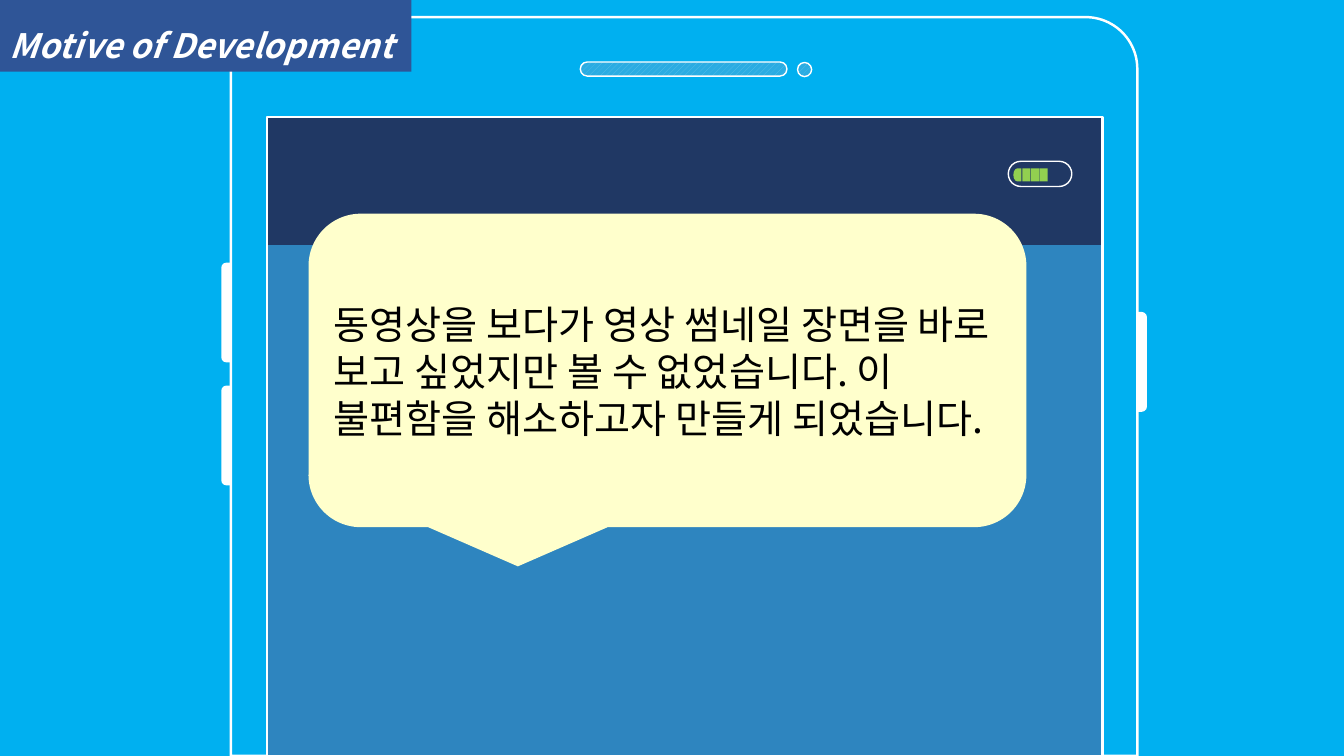
from pptx import Presentation
from pptx.dml.color import RGBColor
from pptx.enum.dml import MSO_PATTERN
from pptx.enum.shapes import MSO_SHAPE as SHAPE
from pptx.enum.text import MSO_ANCHOR, PP_ALIGN
from pptx.oxml.ns import qn
from pptx.util import Inches, Pt

FONT = "Noto Sans CJK KR"
COLORS = {
    "sky": "00B0F0", "white": "FFFFFF", "black": "000000",
    "navy": "203864", "screen": "2E85BF", "title": "2F5597",
    "bubble": "FFFFCC", "battery": "92D050",
    "stripe": "5DC1E9", "speaker": "2BACE2",
}


def color(name):
    return RGBColor.from_string(COLORS[name])


def add_shape(s, kind, box, fill=None, line=None, rot=0, adj=()):
    """Add a preset shape; line is the width of a white outline in points."""
    sp = s.shapes.add_shape(kind, *(Inches(v) for v in box))
    sp.shadow.inherit = False
    sp.rotation = rot
    for i, value in enumerate(adj):
        sp.adjustments[i] = value
    if fill:
        sp.fill.solid()
        sp.fill.fore_color.rgb = color(fill)
    else:
        sp.fill.background()
    if line:
        sp.line.color.rgb = color("white")
        sp.line.width = Pt(line)
    else:
        sp.line.fill.background()
    return sp


def add_striped(s, kind, box, adj=()):
    sp = add_shape(s, kind, box, line=1, rot=90, adj=adj)
    sp.fill.patterned()
    sp.fill.pattern = MSO_PATTERN.WIDE_UPWARD_DIAGONAL
    sp.fill.fore_color.rgb = color("stripe")
    sp.fill.back_color.rgb = color("speaker")


def set_text(sp, text, size, font_color, anchor, spacing=None, bold=None, italic=None):
    tf = sp.text_frame
    tf.word_wrap = True
    tf.vertical_anchor = anchor
    p = tf.paragraphs[0]
    p.alignment = PP_ALIGN.LEFT
    p.line_spacing = spacing
    r = p.add_run()
    r.text = text
    r.font.name = FONT
    r.font.size = Pt(size)
    r.font.bold, r.font.italic = bold, italic
    r.font.color.rgb = color(font_color)
    # East Asian typeface for the Korean text
    ea = r.font._element.makeelement(qn("a:ea"), {"typeface": FONT})
    r.font._element.find(qn("a:latin")).addnext(ea)


def add_phone(s):
    # Body and side buttons
    add_shape(s, SHAPE.ROUND_2_SAME_RECTANGLE, (2.29, 0.17, 8.99, 7.33),
              line=1.75, adj=(0.07, 0))
    for left, top, adj in ((10.83, 3.54, (0.5, 0)),
                           (1.75, 3.05, (0, 0.5)),
                           (1.75, 4.27, (0, 0.5))):
        add_shape(s, SHAPE.ROUND_2_SAME_RECTANGLE, (left, top, 0.99, 0.1),
                  fill="white", rot=90, adj=adj)

    # Speaker, screen and camera
    add_striped(s, SHAPE.ROUNDED_RECTANGLE, (6.71, -0.34, 0.14, 2.05), (0.5,))
    screen = add_shape(s, SHAPE.RECTANGLE, (3.62, 0.19, 6.34, 8.29), line=1.5, rot=90)
    screen.fill.gradient()
    screen.fill.gradient_angle = 0
    for stop, name in zip(screen.fill.gradient_stops, ("navy", "screen")):
        stop.color.rgb = color(name)
        stop.position = 0.2
    add_striped(s, SHAPE.OVAL, (7.91, 0.62, 0.14, 0.14))


def add_battery(s):
    add_shape(s, SHAPE.ROUNDED_RECTANGLE, (10.19, 1.41, 0.25, 0.63),
              line=1, rot=90, adj=(0.5,))
    for i in range(3):
        add_shape(s, SHAPE.RECTANGLE, (10.14 + i * 0.085, 1.67, 0.08, 0.13), fill="battery")
    add_shape(s, SHAPE.FLOWCHART_DELAY, (10.05, 1.67, 0.08, 0.13), fill="battery", rot=180)


def main():
    prs = Presentation()
    prs.slide_width, prs.slide_height = Inches(13.33), Inches(7.5)
    s = prs.slides.add_slide(prs.slide_layouts[6])
    s.background.fill.solid()
    s.background.fill.fore_color.rgb = color("sky")

    add_phone(s)
    add_battery(s)

    # Speech bubble
    bubble = add_shape(s, SHAPE.ROUNDED_RECTANGULAR_CALLOUT, (3.06, 2.12, 7.12, 3.11),
                       fill="bubble")
    set_text(bubble, "동영상을 보다가 영상 썸네일 장면을 바로 보고 싶었지만 볼 수 없었습니다. "
             "이 불편함을 해소하고자 만들게 되었습니다.", 28, "black", MSO_ANCHOR.MIDDLE)

    # Title
    title = add_shape(s, SHAPE.RECTANGLE, (0, 0, 4.08, 0.71), fill="title")
    set_text(title, "Motive of Development", 24, "white", MSO_ANCHOR.TOP,
             spacing=1.5, bold=True, italic=True)

    prs.save("out.pptx")


if __name__ == "__main__":
    main()
